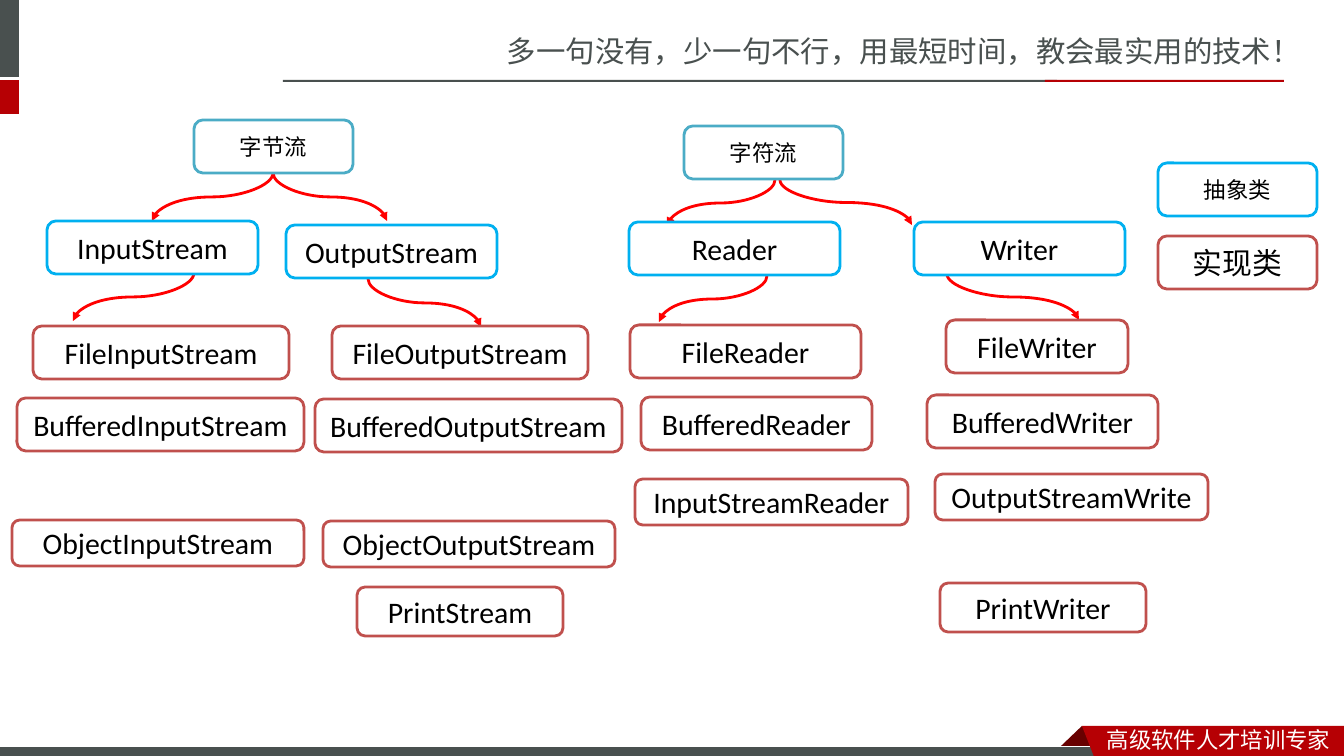
import pptx
import pptx.dml.color
import pptx.enum.shapes
import pptx.enum.text
import pptx.oxml
import pptx.oxml.ns
import pptx.util
from dataclasses import dataclass

# ---- Content: all lengths in px ----
SLIDE_SIZE = (1344, 756)
SLOGAN = ("多一句没有，少一句不行，用最短时间，教会最实用的技术！", (497, 28, 848, 47))
FOOTER = ("高级软件人才培训专家", (1097, 721, 247, 37))

# Each box: text, left, top, width, height
STREAM_FAMILIES = [
    ("字节流", 194, 120, 159, 53),
    ("字符流", 684, 126, 159, 53),
]
ABSTRACT_KEY = [("抽象类", 1158, 163, 159, 53)]
ABSTRACT_CLASSES = [
    ("InputStream", 47, 221, 211, 53),
    ("OutputStream", 286, 225, 211, 53),
    ("Reader", 629, 222, 211, 53),
    ("Writer", 914, 222, 211, 53),
]
CONCRETE_CLASSES = [
    ("实现类", 1158, 236, 159, 53),
    ("FileInputStream", 33, 326, 256, 53),
    ("FileOutputStream", 332, 326, 256, 53),
    ("FileReader", 630, 325, 231, 53),
    ("FileWriter", 946, 320, 182, 53),
    ("BufferedInputStream", 17, 398, 287, 53),
    ("BufferedOutputStream", 315, 399, 307, 53),
    ("BufferedReader", 641, 397, 231, 53),
    ("BufferedWriter", 927, 395, 231, 53),
    ("InputStreamReader", 635, 479, 273, 46),
    ("OutputStreamWrite", 935, 474, 273, 46),
    ("ObjectInputStream", 12, 520, 292, 46),
    ("ObjectOutputStream", 323, 521, 292, 46),
    ("PrintStream", 357, 587, 206, 49),
    ("PrintWriter", 940, 583, 206, 49),
]

# Each arrow: from x, from y, to x, to y
ARROWS = [
    (273, 173, 152, 221), (273, 173, 387, 221),
    (775, 180, 667, 226), (780, 180, 912, 225),
    (194, 273, 73, 321), (368, 279, 481, 327),
    (767, 276, 659, 322), (947, 274, 1079, 320),
]


@dataclass(frozen=True)
class Theme:
    slate: str = "49504F"
    red: str = "B60004"
    dark_red: str = "680000"
    white: str = "FFFFFF"
    black: str = "000000"
    family: str = "4BACC6"
    abstract: str = "00B0F0"
    concrete: str = "C0504D"
    arrow: str = "FF0000"
    class_font: str = "Calibri"
    frame_font: str = "Noto Sans CJK SC"
    slogan_size: float = 21
    class_size: float = 21.3
    small_size: float = 16
    line_width: float = 2
    thin_line: float = 0.75


THEME = Theme()
BARS = [
    ((-6, 0, 25, 77), THEME.slate),
    ((-6, 80, 25, 34), THEME.red),
    ((283, 80, 774, 2), THEME.slate),
    ((1045, 80, 239, 2), THEME.red),
]
FOOTER_BAR = (-1, 747, 1109, 12)
RIBBON_FOLD = [(1082, 726), (1104, 748), (1103, 749), (1060, 749), (1059, 748)]
RIBBON = [(1082, 726), (1344, 726), (1344, 760), (1095, 759)]

EMU_PER_PX = 914400 / 100.8
SHAPES = pptx.enum.shapes.MSO_SHAPE


def px(length):
    return pptx.util.Emu(round(length * EMU_PER_PX))


def color(value):
    return pptx.dml.color.RGBColor.from_string(value)


def style(shape, fill, line=None, width=THEME.line_width):
    shape.shadow.inherit = False
    shape.fill.solid()
    shape.fill.fore_color.rgb = color(fill)
    if line:
        shape.line.color.rgb = color(line)
        shape.line.width = pptx.util.Pt(width)
    else:
        shape.line.fill.background()


def write(shape, text, font, size, text_color):
    paragraph = shape.text_frame.paragraphs[0]
    paragraph.text = text
    paragraph.font.name = font
    paragraph.font.size = pptx.util.Pt(size)
    paragraph.font.color.rgb = color(text_color)
    # East Asian glyphs take their own typeface
    east_asian = pptx.oxml.parse_xml(
        f'<a:ea {pptx.oxml.ns.nsdecls("a")} typeface="{THEME.frame_font}"/>')
    latin = paragraph.font._element.find(pptx.oxml.ns.qn("a:latin"))
    latin.addnext(east_asian)
    return paragraph


def add_bar(slide, box, fill, line=None):
    bar = slide.shapes.add_shape(SHAPES.RECTANGLE, *map(px, box))
    style(bar, fill, line, THEME.thin_line)


def add_polygon(slide, points, fill):
    builder = slide.shapes.build_freeform(*points[0], scale=EMU_PER_PX)
    builder.add_line_segments(points[1:], close=True)
    style(builder.convert_to_shape(), fill)


def add_label(slide, label, size, text_color):
    text, box = label
    text_box = slide.shapes.add_textbox(*map(px, box))
    text_box.text_frame.word_wrap = False
    write(text_box, text, THEME.frame_font, size, text_color)


def add_class_box(slide, text, box, line, size):
    shape = slide.shapes.add_shape(SHAPES.ROUNDED_RECTANGLE, *map(px, box))
    style(shape, THEME.white, line)
    shape.text_frame.vertical_anchor = pptx.enum.text.MSO_ANCHOR.MIDDLE
    paragraph = write(shape, text, THEME.class_font, size, THEME.black)
    paragraph.alignment = pptx.enum.text.PP_ALIGN.CENTER


def add_arrow(slide, from_x, from_y, to_x, to_y):
    # A downward S-curve is a sideways one turned a quarter about its centre
    middle_x, middle_y = (from_x + to_x) / 2, (from_y + to_y) / 2
    half_drop, half_span = (to_y - from_y) / 2, abs(to_x - from_x) / 2
    to_right = to_x > from_x
    side = 1 if to_right else -1
    connector = slide.shapes.add_connector(
        pptx.enum.shapes.MSO_CONNECTOR.CURVE,
        px(middle_x + side * half_drop), px(middle_y - half_span),
        px(middle_x - side * half_drop), px(middle_y + half_span))
    connector.line.color.rgb = color(THEME.arrow)
    connector.line.width = pptx.util.Pt(THEME.line_width)
    properties = connector._element.spPr
    quarter_turns = 3 if to_right else 1
    properties.find(pptx.oxml.ns.qn("a:xfrm")).set("rot", str(quarter_turns * 5400000))
    namespace = pptx.oxml.ns.nsdecls("a")
    connector.line._get_or_add_ln().append(
        pptx.oxml.parse_xml(f'<a:tailEnd {namespace} type="triangle"/>'))
    properties.append(pptx.oxml.parse_xml(f"<a:effectLst {namespace}/>"))


def main():
    presentation = pptx.Presentation()
    presentation.slide_width, presentation.slide_height = map(px, SLIDE_SIZE)
    slide = presentation.slides.add_slide(presentation.slide_layouts[6])

    # Header and footer
    add_label(slide, SLOGAN, THEME.slogan_size, THEME.slate)
    for box, fill in BARS:
        add_bar(slide, box, fill)
    add_polygon(slide, RIBBON_FOLD, THEME.dark_red)
    add_bar(slide, FOOTER_BAR, THEME.slate, THEME.white)
    add_polygon(slide, RIBBON, THEME.red)
    add_label(slide, FOOTER, THEME.small_size, THEME.white)

    # Class tree, arrows beneath the boxes
    for arrow in ARROWS:
        add_arrow(slide, *arrow)
    for boxes, line, size in [
        (STREAM_FAMILIES, THEME.family, THEME.small_size),
        (ABSTRACT_KEY, THEME.abstract, THEME.small_size),
        (ABSTRACT_CLASSES, THEME.abstract, THEME.class_size),
        (CONCRETE_CLASSES, THEME.concrete, THEME.class_size),
    ]:
        for text, *box in boxes:
            add_class_box(slide, text, box, line, size)

    presentation.save("out.pptx")


if __name__ == "__main__":
    main()
